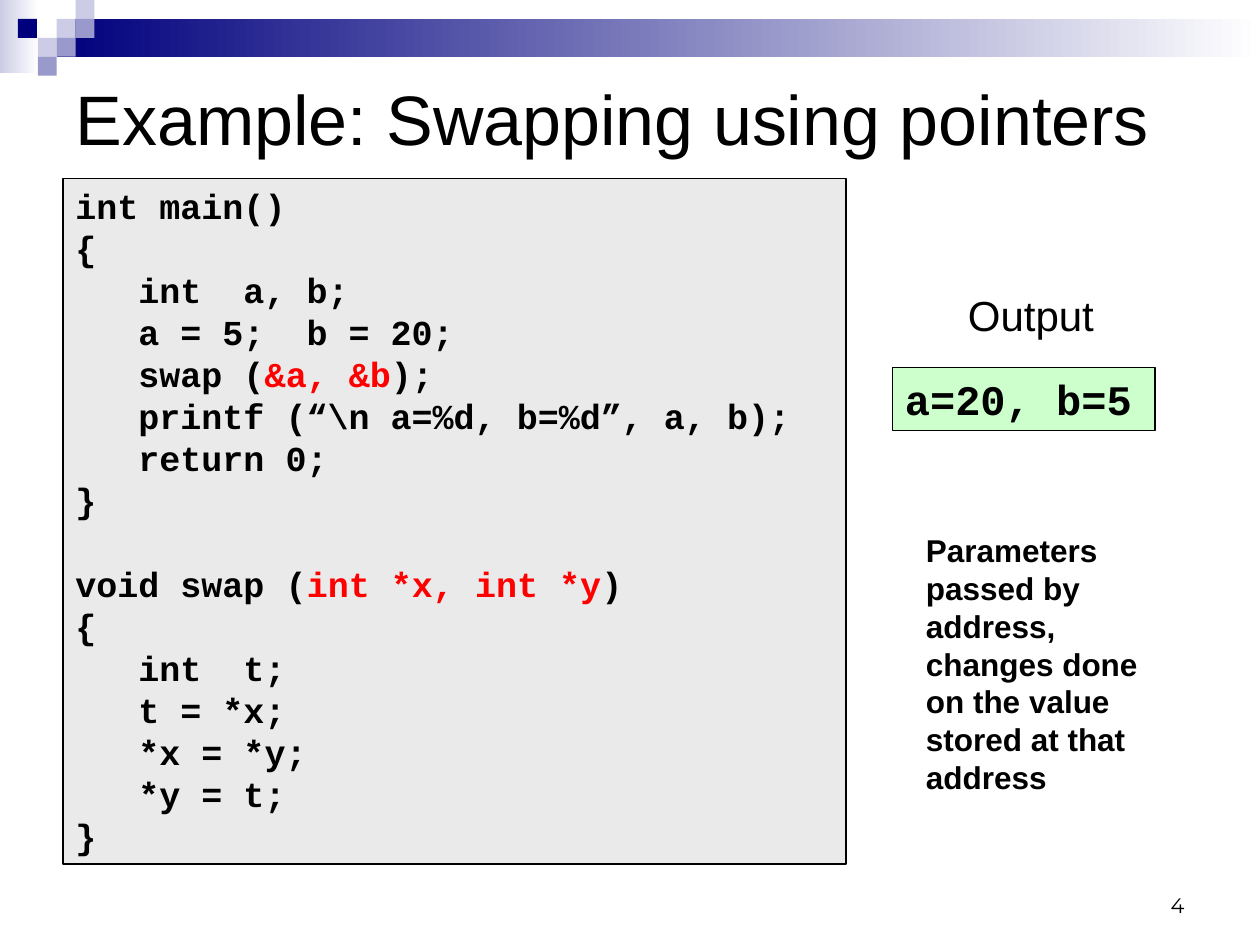
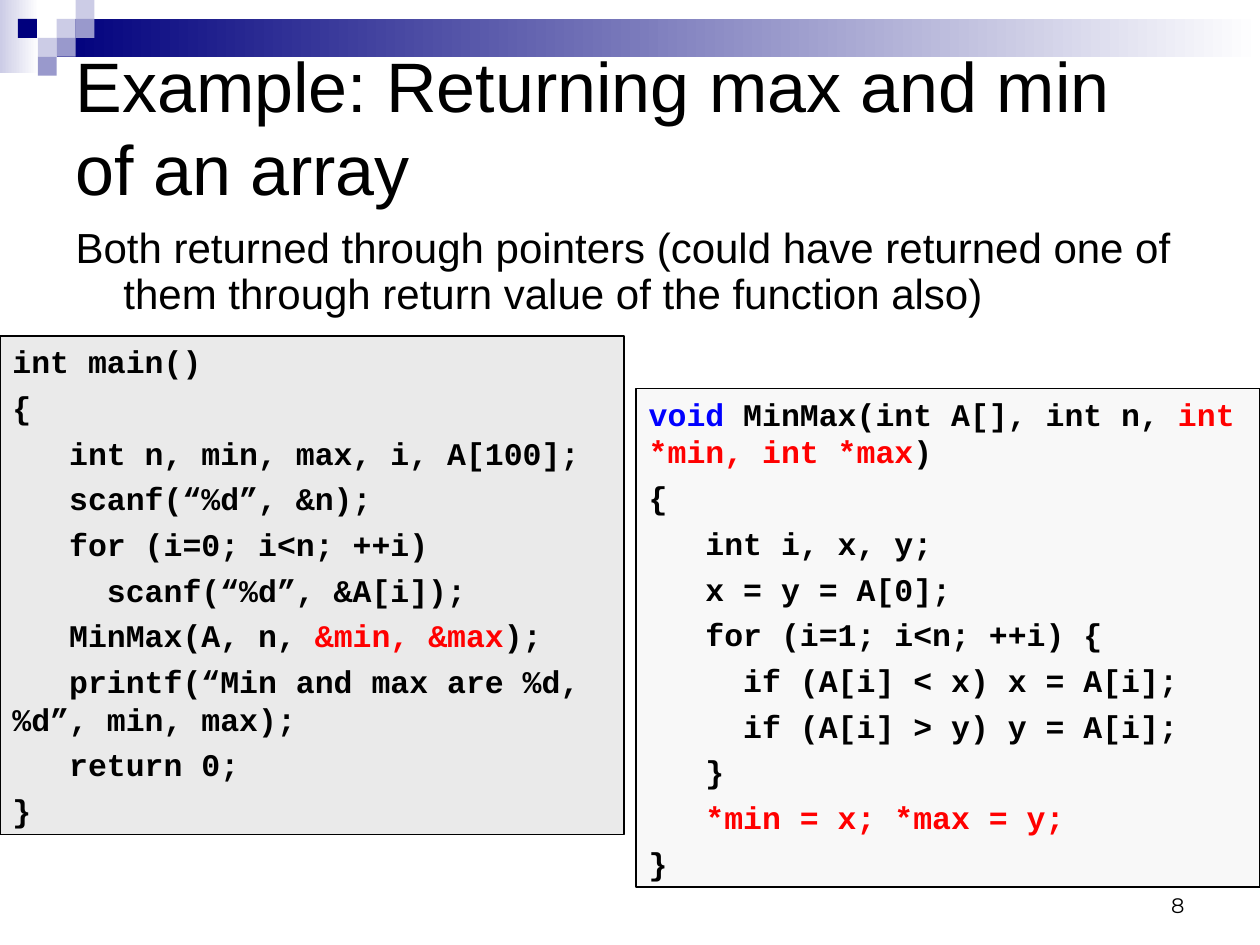
"""Build two slides on C pointers: swapping values, and the max and min of an array."""
from typing import Any, NamedTuple, Optional, Sequence, Union

import pptx
import pptx.dml.color
import pptx.enum.shapes
import pptx.enum.text
import pptx.oxml
import pptx.util

RGBColor = pptx.dml.color.RGBColor
Pt = pptx.util.Pt
ALIGN = pptx.enum.text.PP_ALIGN
ANCHOR = pptx.enum.text.MSO_ANCHOR

BLACK = RGBColor(0x00, 0x00, 0x00)
WHITE = RGBColor(0xFF, 0xFF, 0xFF)
RED = RGBColor(0xFF, 0x00, 0x00)
BLUE = RGBColor(0x00, 0x00, 0xFF)
NAVY = RGBColor(0x00, 0x00, 0x7D)
LILAC = RGBColor(0x99, 0x99, 0xCC)
PALE = RGBColor(0xCC, 0xCC, 0xE6)
GREY = RGBColor(0xEA, 0xEA, 0xEA)
MIST = RGBColor(0xF8, 0xF8, 0xF8)
GREEN = RGBColor(0xCC, 0xFF, 0xCC)

SANS, MONO, DIGIT = "Arial", "Courier New", "Montserrat"
WIDTH, HEIGHT = pptx.util.Inches(10), pptx.util.Inches(7.5)
COLS, ROWS = 120, 90
TILE = 1.8
LEAD = 1.2


class Box(NamedTuple):
    """A place on the grid, in columns and rows."""
    col: float
    row: float
    wide: float
    high: float


class Hue(NamedTuple):
    """A piece of a line in its own colour."""
    text: str
    tint: RGBColor


class Tile(NamedTuple):
    """A small square of the corner pattern, in tile steps."""
    col: float
    row: float
    tint: RGBColor


class Fade(NamedTuple):
    """A band that fades to white."""
    box: Box
    tint: RGBColor


class Panel(NamedTuple):
    """A framed box of code."""
    box: Box
    tint: RGBColor
    size: float
    gap: float
    lines: Sequence[Any]


Line = Union[str, Sequence[Union[str, Hue]]]

FADES = [Fade(Box(0, 0, 3.7, 7), PALE), Fade(Box(3 * TILE, TILE, 114.6, 2 * TILE), NAVY)]
TILES = [
    Tile(3, 1, PALE), Tile(4, 0, PALE), Tile(4, 1, LILAC), Tile(2, 2, PALE),
    Tile(0.95, 1, NAVY), Tile(3, 2, LILAC), Tile(2, 3, LILAC),
]

SWAP = Panel(Box(6, 17, 74.6, 65.3), GREY, 20, 0, [
    "int main()",
    "{",
    "   int  a, b;",
    "   a = 5;  b = 20;",
    ["   swap (", Hue("&a, &b", RED), ");"],
    "   printf (“\\n a=%d, b=%d”, a, b);",
    "   return 0;",
    "}",
    "",
    ["void swap (", Hue("int *x, int *y", RED), ")"],
    "{",
    "   int  t;",
    "   t = *x;",
    "   *x = *y;",
    "   *y = t;",
    "}",
])
RESULT = Panel(Box(85, 35, 25, 6), GREEN, 24, 0, ["a=20, b=5"])
CALLER = Panel(Box(0, 32, 59.4, 47.5), GREY, 18, 4.5, [
    "int main()",
    "{",
    "   int n, min, max, i, A[100];",
    "   scanf(“%d”, &n);",
    "   for (i=0; i<n; ++i)",
    "     scanf(“%d”, &A[i]);",
    ["   MinMax(A, n, ", Hue("&min, &max", RED), ");"],
    "   printf(“Min and max are %d, %d”, min, max);",
    "   return 0;",
    "}",
])
MINMAX = Panel(Box(60.6, 37, 59.4, 47.5), MIST, 18, 4.5, [
    [Hue("void", BLUE), " MinMax(int A[], int n, ", Hue("int *min, int *max", RED), ")"],
    "{",
    "   int i, x, y;",
    "   x = y = A[0];",
    "   for (i=1; i<n; ++i) {",
    "     if (A[i] < x) x = A[i];",
    "     if (A[i] > y) y = A[i];",
    "   }",
    ["   ", Hue("*min = x; *max = y;", RED)],
    "}",
])


def place(box: Box) -> list[int]:
    """Turn grid units into left, top, width and height."""
    return [round(WIDTH * box.col / COLS), round(HEIGHT * box.row / ROWS),
            round(WIDTH * box.wide / COLS), round(HEIGHT * box.high / ROWS)]


def move(shape: Any, box: Box) -> Any:
    """Put a placeholder on the grid."""
    shape.left, shape.top, shape.width, shape.height = place(box)
    return shape


def write(shape: Any, lines: Sequence[Line], *, size: float, font: str = SANS,
          bold: bool = False, align: Any = ALIGN.LEFT, anchor: Any = ANCHOR.TOP,
          gap: float = 0, lead: float = LEAD) -> None:
    """Fill a shape with formatted lines."""
    frame = shape.text_frame
    frame.word_wrap = True
    frame.auto_size = pptx.enum.text.MSO_AUTO_SIZE.NONE
    frame.vertical_anchor = anchor
    for index, line in enumerate(lines):
        para = frame.add_paragraph() if index else frame.paragraphs[0]
        para.alignment = align
        para.line_spacing = Pt(size * lead)
        para.space_before = Pt(gap if index else 0)
        para.font.size = Pt(size)
        for part in [line] if isinstance(line, str) else line:
            piece = part if isinstance(part, Hue) else Hue(part, BLACK)
            if not piece.text:
                continue
            run = para.add_run()
            run.text = piece.text
            run.font.name, run.font.size, run.font.bold = font, Pt(size), bold
            run.font.color.rgb = piece.tint


def block(slide: Any, box: Box, tint: RGBColor, edge: Optional[RGBColor] = None) -> Any:
    """Draw a flat rectangle, framed if an edge colour is given."""
    shape = slide.shapes.add_shape(pptx.enum.shapes.MSO_SHAPE.RECTANGLE, *place(box))
    shape.shadow.inherit = False
    shape.fill.solid()
    shape.fill.fore_color.rgb = tint
    if edge is None:
        shape.line.fill.background()
    else:
        shape.line.color.rgb = edge
        shape.line.width = Pt(1)
    return shape


def fade(slide: Any, band: Fade) -> None:
    """Draw a band that fades to white from left to right."""
    fill = block(slide, band.box, band.tint).fill
    fill.gradient()
    fill.gradient_angle = 0
    for stop, tint in zip(fill.gradient_stops, (band.tint, WHITE)):
        stop.color.rgb = tint


def panel(slide: Any, item: Panel) -> None:
    """Draw a framed box of code."""
    shape = block(slide, item.box, item.tint, BLACK)
    write(shape, item.lines, size=item.size, font=MONO, bold=True, gap=item.gap)


def label(slide: Any, box: Box, text: str, **style: Any) -> None:
    """Add a text box."""
    write(slide.shapes.add_textbox(*place(box)), [text], **style)


def start(deck: Any, kind: int, title: str, box: Box, number: str) -> Any:
    """Add a slide with the shared bands, tiles, title and number."""
    slide = deck.slides.add_slide(deck.slide_layouts[kind])
    for band in FADES:
        fade(slide, band)
    for tile in TILES:
        block(slide, Box(tile.col * TILE, tile.row * TILE, TILE, TILE), tile.tint)
    write(move(slide.shapes.title, box), [title], size=40, anchor=ANCHOR.MIDDLE)
    label(slide, Box(86, 82, 28, 6), number, size=12, font=DIGIT,
          align=ALIGN.RIGHT, anchor=ANCHOR.BOTTOM)
    return slide


def swap(deck: Any) -> None:
    """Build the slide on swapping."""
    slide = start(deck, 5, "Example: Swapping using pointers", Box(6, 4, 108, 14.4), "4")
    panel(slide, SWAP)
    panel(slide, RESULT)
    label(slide, Box(91, 27, 17, 6), "Output", size=24)
    label(slide, Box(87, 50, 23.2, 26.4),
          "Parameters passed by address, changes done on the value stored at that address",
          size=18, bold=True)


def minmax(deck: Any) -> None:
    """Build the slide on max and min."""
    slide = start(deck, 1, "Example: Returning max and min of an array",
                  Box(6, 3, 108, 18), "8")
    body = move(slide.placeholders[1], Box(6, 21, 107, 11))
    props = body.text_frame.paragraphs[0]._p.get_or_add_pPr()
    hang = pptx.util.Inches(0.38)
    props.set("marL", str(hang))
    props.set("indent", str(-hang))
    props.append(pptx.oxml.parse_xml(
        '<a:buNone xmlns:a="http://schemas.openxmlformats.org/drawingml/2006/main"/>'))
    write(body, ["Both returned through pointers (could have returned one of them "
                 "through return value of the function also)"], size=24, lead=0.9 * LEAD)
    panel(slide, CALLER)
    panel(slide, MINMAX)


def main() -> None:
    """Build and save the deck."""
    deck = pptx.Presentation()
    deck.slide_width, deck.slide_height = WIDTH, HEIGHT
    swap(deck)
    minmax(deck)
    deck.save("out.pptx")


if __name__ == "__main__":
    main()
